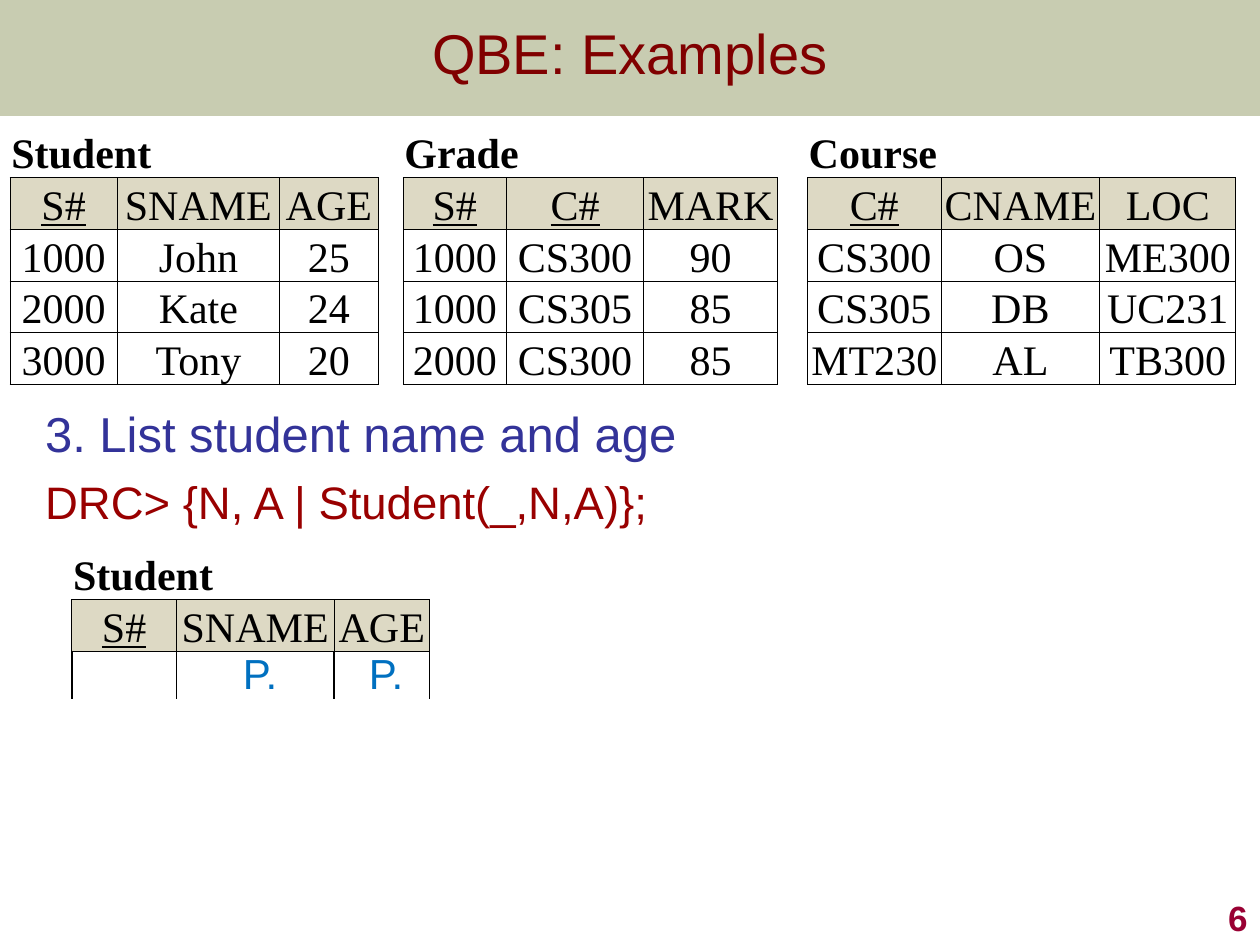
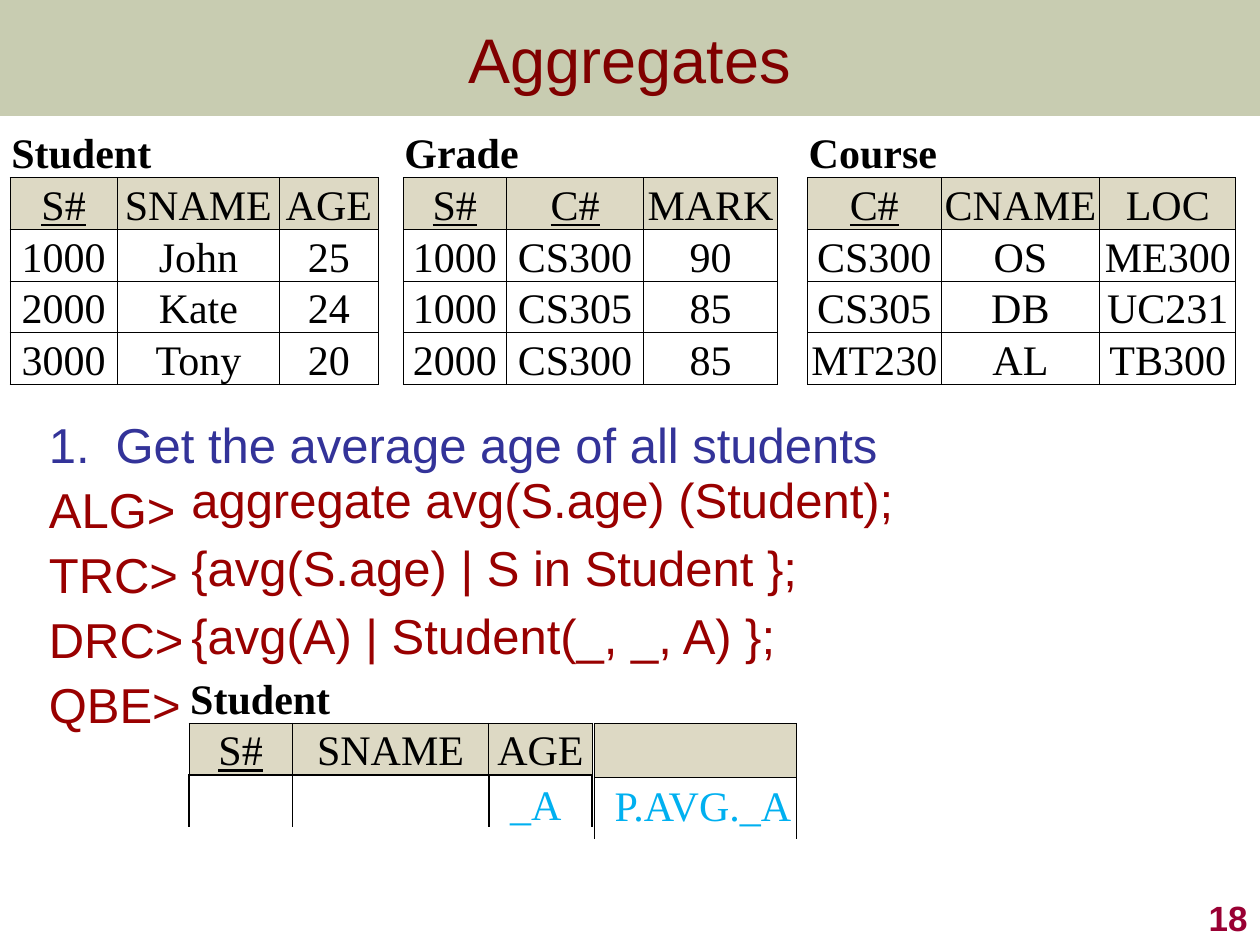
from lxml import etree
from pptx import Presentation
from pptx.dml.color import RGBColor
from pptx.enum import shapes, text
from pptx.oxml.ns import qn
from pptx.util import Inches, Pt

SANS, SERIF = "Arial", "Times New Roman"
BLACK, WHITE, HEADER = "000000", "FFFFFF", "DDD9C4"
BAND, TITLE, NUMBER = "677228", "800000", "990033"
QUESTION, ANSWER = "333399", "990000"
THIN, THICK = 0.5, 1

SCHEMA_WIDTHS = [0.85, 1.29, 0.78, 0.2, 0.82, 1.09, 1.06, 0.24, 1.06, 1.26, 1.08]
SCHEMA_CAPTIONS = {0: "Student", 4: "Grade", 8: "Course"}
SCHEMA_ROWS = [
    ["S#", "SNAME", "AGE", None, "S#", "C#", "MARK", None, "C#", "CNAME", "LOC"],
    ["1000", "John", "25", None, "1000", "CS300", "90", None, "CS300", "OS", "ME300"],
    ["2000", "Kate", "24", None, "1000", "CS305", "85", None, "CS305", "DB", "UC231"],
    ["3000", "Tony", "20", None, "2000", "CS300", "85", None, "MT230", "AL", "TB300"],
]
STUDENT_CAPTION = {0: "Student"}
STUDENT_QUERY = [["S#", "SNAME", "AGE"], ["", "", ""]]


def color(hex_string):
    return RGBColor.from_string(hex_string)


class Deck:
    def __init__(self):
        self.prs = Presentation()
        self.prs.slide_width = Inches(10)
        self.prs.slide_height = Inches(7.5)
        self.slide = None

    def start(self, title, title_size, title_height, number):
        self.slide = self.prs.slides.add_slide(self.prs.slide_layouts[6])
        self.band()
        self.label((0, 0, 10, title_height), [(title, TITLE)], title_size,
                   anchor=text.MSO_ANCHOR.MIDDLE, align=text.PP_ALIGN.CENTER)
        self.label((7.92, 7, 2.08, 0.5), [(number, NUMBER)], 20, bold=True,
                   anchor=text.MSO_ANCHOR.BOTTOM, align=text.PP_ALIGN.RIGHT)
        self.relations(0.08, 1, SCHEMA_WIDTHS, [0.38] * 5, SCHEMA_ROWS, SCHEMA_CAPTIONS)

    def band(self):
        band = self.slide.shapes.add_shape(
            shapes.MSO_SHAPE.RECTANGLE, 0, 0, Inches(10), Inches(0.92))
        band.shadow.inherit = False
        band.line.fill.background()
        band.fill.solid()
        band.fill.fore_color.rgb = color(BAND)
        tint = band._element.spPr.find(qn("a:solidFill"))[0]
        etree.SubElement(tint, qn("a:alpha"), val="36000")

    def font(self, paragraph, size, hex_string, name=SANS, bold=False, underline=False):
        font = paragraph.font
        font.name, font.size = name, Pt(size)
        font.bold, font.underline = bold, underline
        font.color.rgb = color(hex_string)

    def label(self, at, lines, size, name=SANS, bold=False, anchor=text.MSO_ANCHOR.TOP,
              align=text.PP_ALIGN.LEFT, wrap=True, spacing=None, hanging=0):
        frame = self.slide.shapes.add_textbox(*map(Inches, at)).text_frame
        frame.word_wrap = wrap
        frame.vertical_anchor = anchor
        for index, (words, hex_string, *own_size) in enumerate(lines):
            paragraph = frame.add_paragraph() if index else frame.paragraphs[0]
            paragraph.text = words
            paragraph.alignment = align
            paragraph.line_spacing = spacing
            if index:
                paragraph.space_before = Pt(7)
            if hanging:
                properties = paragraph._p.get_or_add_pPr()
                properties.set("marL", str(Inches(hanging)))
                properties.set("indent", str(-Inches(hanging)))
            self.font(paragraph, own_size[0] if own_size else size, hex_string, name, bold)

    def style_cell(self, cell, fill, borders):
        properties = cell._tc.get_or_add_tcPr()
        for side in "LRTB":
            width = borders.get(side, 0)
            line = etree.SubElement(properties, qn(f"a:ln{side}"), w=str(Pt(width)))
            if width:
                ink = etree.SubElement(line, qn("a:solidFill"))
                etree.SubElement(ink, qn("a:srgbClr"), val=BLACK)
            else:
                etree.SubElement(line, qn("a:noFill"))
        cell.fill.solid()
        cell.fill.fore_color.rgb = color(fill)
        cell.margin_left = cell.margin_right = cell.margin_top = Inches(0.01)
        cell.margin_bottom = 0
        cell.vertical_anchor = text.MSO_ANCHOR.BOTTOM

    def fill_cell(self, cell, words, **style):
        paragraph = cell.text_frame.paragraphs[0]
        paragraph.text = words
        if not style.get("bold"):
            paragraph.alignment = text.PP_ALIGN.CENTER
        self.font(paragraph, 24, BLACK, SERIF, **style)

    def relations(self, left, top, widths, heights, rows, captions):
        grid = self.slide.shapes.add_table(
            len(heights), len(widths), Inches(left), Inches(top),
            Inches(sum(widths)), Inches(sum(heights))).table
        grid.first_row = grid.horz_banding = False
        for column, width in zip(grid.columns, widths):
            column.width = Inches(width)
        for row, height in zip(grid.rows, heights):
            row.height = Inches(height)
        header = 1 if captions else 0
        is_query = not any(rows[-1])
        for c, heading in enumerate(rows[0]):
            if captions:
                self.style_cell(grid.cell(0, c), WHITE, {} if heading is None else {"B": THIN})
            for r, values in enumerate(rows):
                cell = grid.cell(r + header, c)
                if heading is None:
                    self.style_cell(cell, WHITE, {"L": THIN, "R": THIN})
                    continue
                if is_query and r:
                    borders = dict.fromkeys("LTR", THICK)
                else:
                    borders = dict.fromkeys("LTRB", THIN)
                    borders["B"] = THICK if is_query else THIN
                self.style_cell(cell, WHITE if r else HEADER, borders)
                if values[c]:
                    self.fill_cell(cell, values[c], underline=not r and values[c].endswith("#"))
        for c, caption in captions.items():
            grid.cell(0, c).merge(grid.cell(0, c + 2))
            self.fill_cell(grid.cell(0, c), caption, bold=True)


def examples(deck):
    deck.start("QBE: Examples", 32, 0.83, "6")
    deck.label((0.26, 3.15, 9.64, 1.19),
               [("3. List student name and age", QUESTION, 28),
                ("DRC> {N, A | Student(_,N,A)};", ANSWER, 26)], 28)
    deck.relations(0.57, 4.35, [0.83, 1.25, 0.76], [0.38] * 3, STUDENT_QUERY, STUDENT_CAPTION)
    for left in (1.83, 2.83):
        deck.label((left, 5.09, 0.48, 0.5), [("P.", "0070C0")], 24, wrap=False)


def aggregates(deck):
    deck.start("Aggregates", 36, 0.92, "18")
    prompts = [(f"{language}>", ANSWER) for language in ("ALG", "TRC", "DRC", "QBE")]
    deck.label((0.29, 3.29, 9.07, 3.38),
               [("1.\tGet the average age of all students", QUESTION), *prompts],
               28, spacing=0.9, hanging=0.53)
    expressions = [
        ("aggregate avg(S.age) (Student);", 5.85),
        ("{avg(S.age) | S in Student };", 5.07),
        ("{avg(A) | Student(_, _, A) };", 4.89),
    ]
    for index, (expression, width) in enumerate(expressions):
        deck.label((1.42, 3.73 + 0.54 * index, width, 0.53), [(expression, ANSWER)],
                   28, wrap=False, spacing=0.9)
    deck.relations(1.5, 5.33, [0.82, 1.56, 0.82], [0.41] * 3, STUDENT_QUERY, STUDENT_CAPTION)
    deck.relations(4.72, 5.74, [1.6], [0.43, 0.49], [[""], [""]], {})
    for words, left, top, width in (("_A", 3.95, 6.13, 0.61), ("P.AVG._A", 4.78, 6.14, 1.61)):
        deck.label((left, top, width, 0.5), [(words, "00B0F0")], 24, SERIF)


def main():
    deck = Deck()
    examples(deck)
    aggregates(deck)
    deck.prs.save("out.pptx")


if __name__ == "__main__":
    main()
